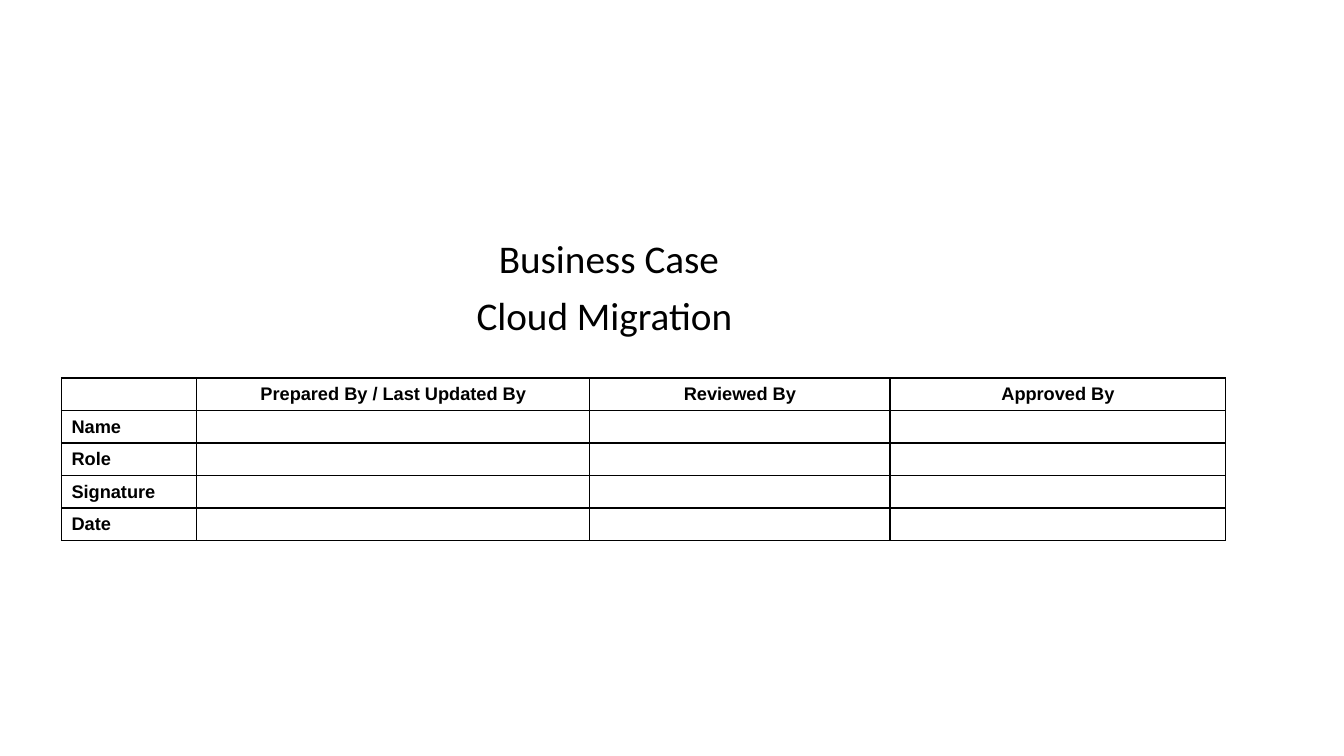
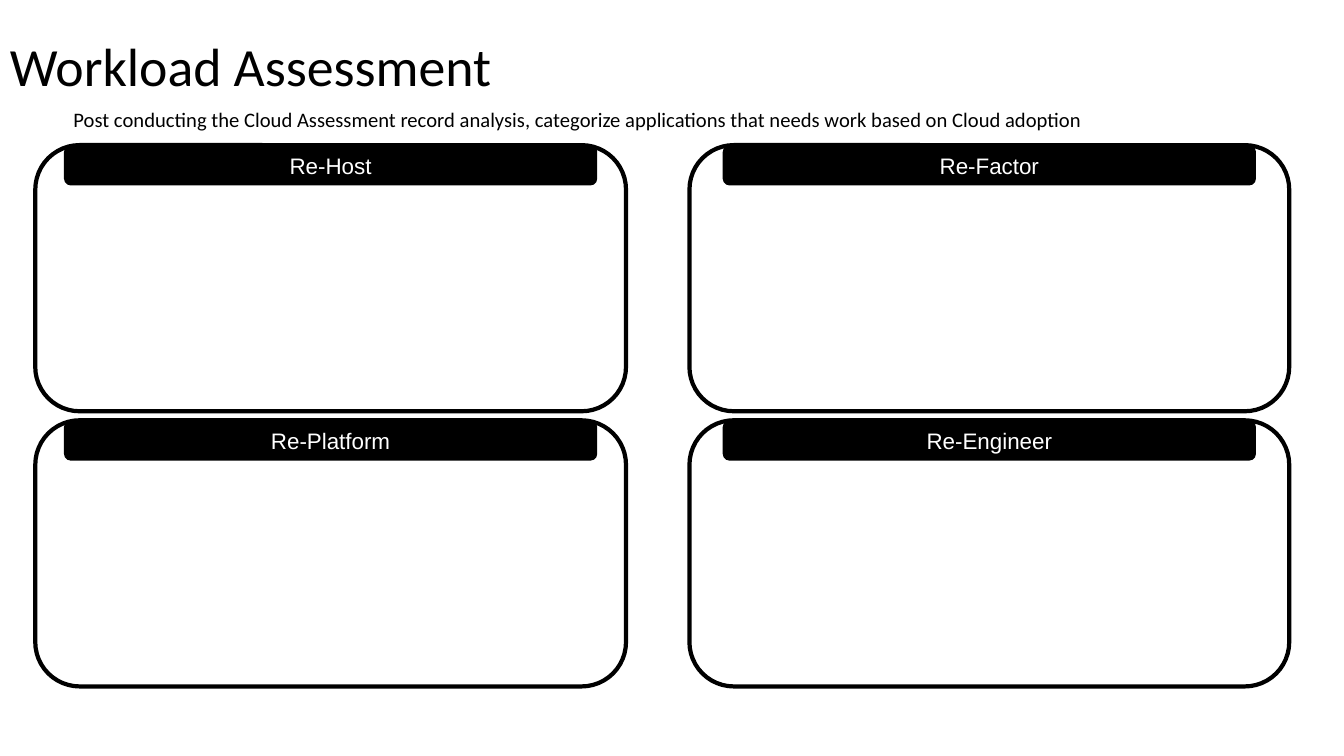
from dataclasses import dataclass

from lxml.etree import SubElement
from pptx import Presentation
from pptx.dml.color import RGBColor
from pptx.enum.shapes import MSO_SHAPE
from pptx.enum.text import MSO_ANCHOR, PP_ALIGN
from pptx.oxml.ns import qn
from pptx.util import Inches, Pt


@dataclass(frozen=True)
class Theme:
    ink: str = "000000"
    paper: str = "FFFFFF"
    head: str = "Calibri"
    body: str = "Arial"
    title: float = 38.4
    cover: float = 28
    band: float = 16
    note: float = 14.7
    cell: float = 13
    frame: float = 3
    rule: float = 1


class Deck:
    """Places elements on a grid of 40 columns by 30 rows."""
    cols, rows = 40, 30

    def __init__(self, theme):
        self.theme = theme
        self.file = Presentation()
        self.file.slide_width = Inches(13.33)
        self.file.slide_height = Inches(7.5)
        self.page = None

    def new(self):
        self.page = self.file.slides.add_slide(self.file.slide_layouts[6])

    def wide(self, cols):
        return int(self.file.slide_width * cols / self.cols)

    def tall(self, rows):
        return int(self.file.slide_height * rows / self.rows)

    def area(self, left, top, wide, tall):
        return self.wide(left), self.tall(top), self.wide(wide), self.tall(tall)

    def style(self, para, size, face, color, bold=False, align=PP_ALIGN.LEFT):
        para.alignment = align
        for run in para.runs:
            font = run.font
            font.size, font.name, font.bold = Pt(size), face, bold
            font.color.rgb = RGBColor.from_string(color)

    def text(self, box, words, size, align=PP_ALIGN.LEFT,
             anchor=MSO_ANCHOR.TOP, lead=1.0, gap=0, inset=(0.1, 0.05)):
        frame = self.page.shapes.add_textbox(*self.area(*box)).text_frame
        frame.word_wrap = True
        frame.vertical_anchor = anchor
        frame.margin_left = frame.margin_right = Inches(inset[0])
        frame.margin_top = frame.margin_bottom = Inches(inset[1])
        frame.text = words
        for para in frame.paragraphs:
            para.line_spacing, para.space_before = lead, Pt(gap)
            self.style(para, size, self.theme.head, self.theme.ink, align=align)

    def title(self, words):
        self.text((0, 1.44, 37.02, 2.64), words, self.theme.title,
                  anchor=MSO_ANCHOR.MIDDLE, lead=0.9)

    def round(self, box):
        shape = self.page.shapes.add_shape(
            MSO_SHAPE.ROUNDED_RECTANGLE, *self.area(*box))
        shape.shadow.inherit = False
        return shape

    def card(self, box, label):
        # Outlined frame
        ink = RGBColor.from_string(self.theme.ink)
        frame = self.round(box)
        frame.fill.background()
        frame.line.color.rgb = ink
        frame.line.width = Pt(self.theme.frame)
        # Label band, centred along the top edge
        left, top, wide, _ = box
        span = 15.87
        band = self.round((left + (wide - span) / 2, top, span, 1.6))
        band.fill.solid()
        band.fill.fore_color.rgb = ink
        band.line.fill.background()
        band.text_frame.text = label
        band.text_frame.vertical_anchor = MSO_ANCHOR.MIDDLE
        self.style(band.text_frame.paragraphs[0], self.theme.band,
                   self.theme.body, self.theme.paper, align=PP_ALIGN.CENTER)

    def border(self, cell):
        props = cell._tc.get_or_add_tcPr()
        for at, side in enumerate(("lnL", "lnR", "lnT", "lnB")):
            line = props.makeelement(qn(f"a:{side}"), w=str(Pt(self.theme.rule)))
            fill = SubElement(line, qn("a:solidFill"))
            SubElement(fill, qn("a:srgbClr"), val=self.theme.ink)
            props.insert(at, line)

    def table(self, left, top, spans, tall, data):
        box = self.area(left, top, sum(spans), tall * len(data))
        grid = self.page.shapes.add_table(len(data), len(spans), *box).table
        grid.first_row = grid.horz_banding = False
        for col, span in zip(grid.columns, spans):
            col.width = self.wide(span)
        for r, words in enumerate(data):
            grid.rows[r].height = self.tall(tall)
            for c, word in enumerate(words):
                cell = grid.cell(r, c)
                cell.fill.background()
                cell.vertical_anchor = MSO_ANCHOR.MIDDLE
                self.border(cell)
                para = cell.text_frame.paragraphs[0]
                para.text = word
                self.style(para, self.theme.cell, self.theme.body,
                           self.theme.ink, bold=True,
                           align=PP_ALIGN.LEFT if r else PP_ALIGN.CENTER)
                if not word:  # keeps empty rows as low as filled ones
                    SubElement(para._p, qn("a:endParaRPr"),
                               sz=str(self.theme.cell * 100))


def cover(deck):
    deck.new()
    deck.text((0, 9.24, 36.24, 4.48), "Business Case\nCloud Migration ",
              deck.theme.cover, align=PP_ALIGN.CENTER, lead=0.9, gap=10,
              inset=(0.13, 0.07))
    # Sign-off table
    heads = ["", "Prepared By / Last Updated By", "Reviewed By", "Approved By"]
    names = ["Name", "Role", "Signature", "Date"]
    deck.table(1.83, 15, (4.02, 11.7, 8.94, 9.99), 1.29,
               [heads] + [[name, "", "", ""] for name in names])


def assess(deck):
    deck.new()
    deck.title("Workload Assessment")
    deck.text((1.89, 4.04, 37.32, 1.4),
              "Post conducting the Cloud Assessment record analysis, categorize "
              "applications that needs work based on Cloud adoption",
              deck.theme.note)
    # Two by two cards
    sides = ((1.05, 17.58), (20.52, 17.85))
    labels = (("Re-Host", "Re-Factor"), ("Re-Platform", "Re-Engineer"))
    for row, pair in enumerate(labels):
        for (left, wide), label in zip(sides, pair):
            deck.card((left, 5.76 + 10.92 * row, wide, 10.56), label)


def main():
    deck = Deck(Theme())
    cover(deck)
    assess(deck)
    deck.file.save("out.pptx")


if __name__ == "__main__":
    main()
